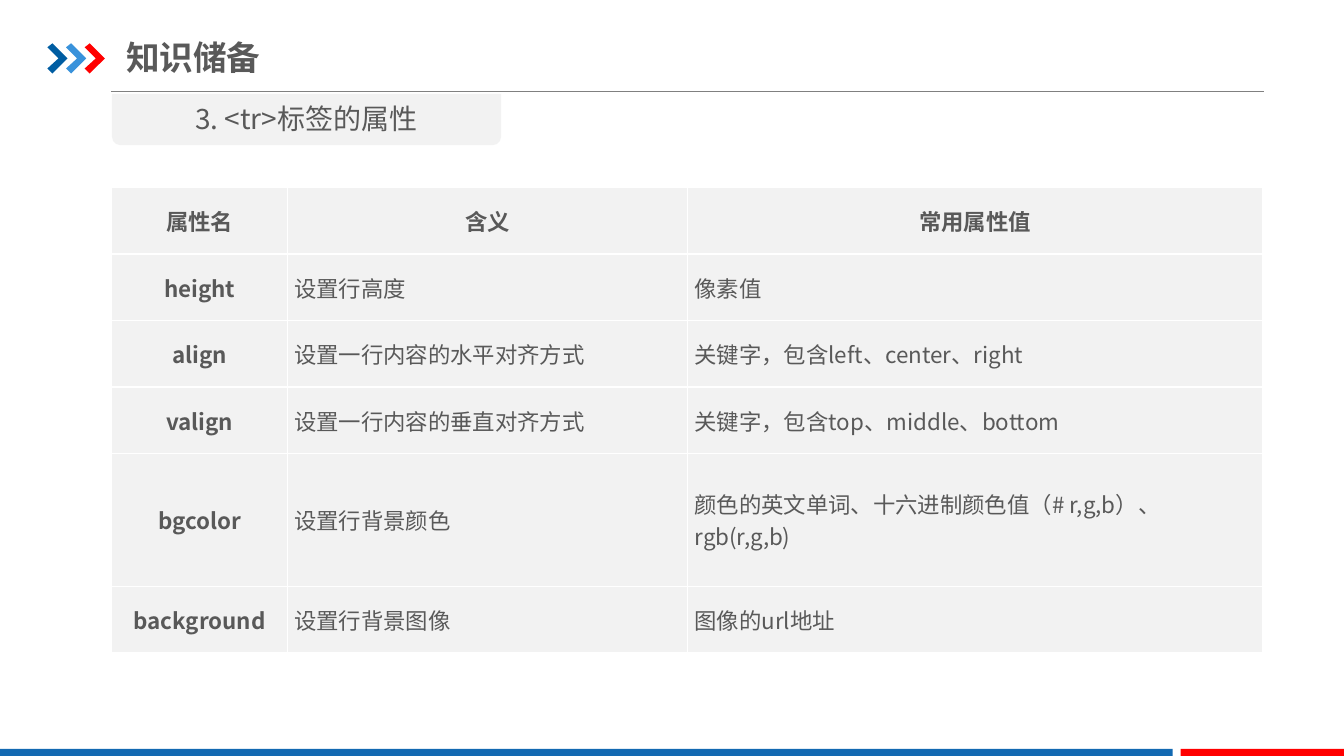
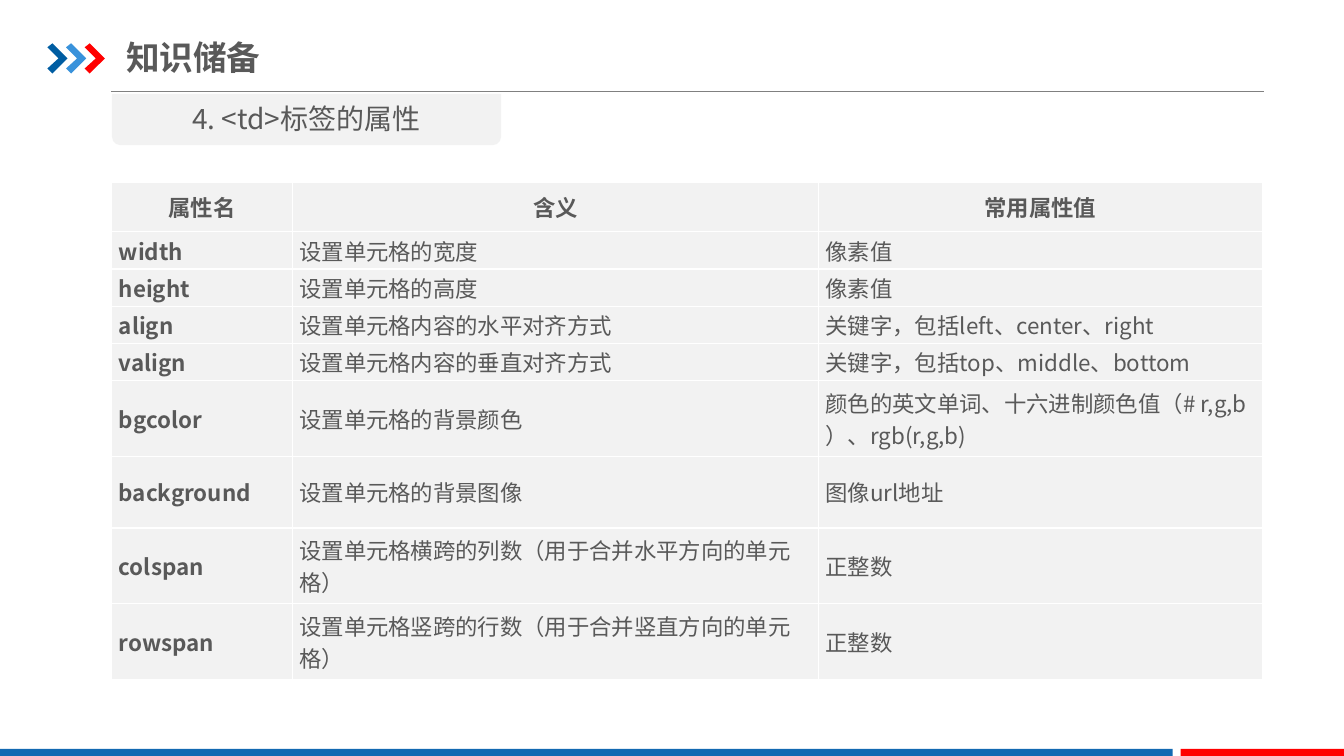
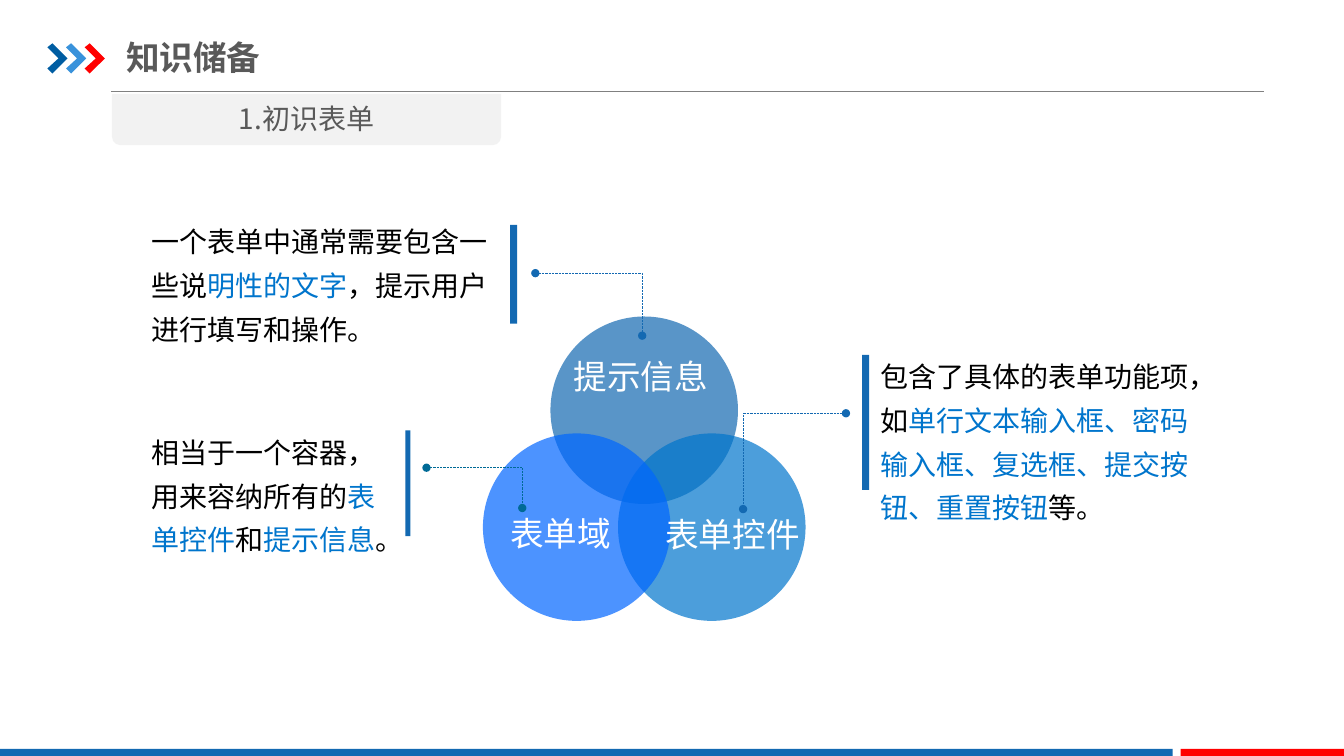
from lxml import etree
from pptx import Presentation
from pptx import util as u
from pptx.dml.color import RGBColor
from pptx.enum import dml, shapes as kinds, text
from pptx.oxml import ns
from pptx.shapes import shapetree

CJK, LATIN = "Noto Sans CJK SC", "Arial"
GREY, PALE, WHITE, BLACK = "595959", "F2F2F2", "FFFFFF", "000000"
BLUE, ACCENT, RED = "1369B2", "0075CC", "FF0000"
LEFT = 1.11
SHAPE, ALIGN = kinds.MSO_SHAPE, text.PP_ALIGN


def color(value):
    return RGBColor.from_string(value)


def box(left, top, width, height):
    return [u.Inches(v) for v in (left, top, width, height)]


def sub(parent, tag, **attrs):
    return etree.SubElement(parent, ns.qn(tag), **attrs)


def set_font(p, size, fill, name=CJK, bold=False):
    f = p.font
    f.name, f.size, f.bold = name, u.Pt(size), bold
    f.color.rgb = color(fill)
    latin = p._p.pPr.find(".//" + ns.qn("a:latin"))
    latin.addnext(latin.makeelement(ns.qn("a:ea"), typeface=CJK))


def add_filled(shapes, kind, area, fill, alpha=None):
    sp = shapes.add_shape(kind, *box(*area))
    sp.shadow.inherit = False
    sp.fill.solid()
    sp.fill.fore_color.rgb = color(fill)
    sp.line.fill.background()
    if alpha:
        sub(sp._element.spPr.find(".//" + ns.qn("a:srgbClr")), "a:alpha", val=str(alpha * 1000))
    return sp


def add_path(shapes, points, close):
    (x, y), *rest = [(u.Inches(x), u.Inches(y)) for x, y in points]
    path = shapes.build_freeform(x, y)
    path.add_line_segments(rest, close=close)
    sp = path.convert_to_shape()
    sp.shadow.inherit = False
    return sp


def add_text(shapes, area, runs, size, font=CJK, align=ALIGN.LEFT, spacing=None):
    """Place one paragraph of (text, colour) runs."""
    tf = shapes.add_textbox(*box(*area)).text_frame
    tf.word_wrap = True
    p = tf.paragraphs[0]
    p.alignment, p.line_spacing = align, spacing
    set_font(p, size, runs[0][1], font)
    for words, fill in runs:
        r = p.add_run()
        r.text = words
        r.font.color.rgb = color(fill)


def add_chevron(shapes, left, top, fill):
    outline = [(0, 0.04), (0.05, 0), (0.2, 0.15), (0.05, 0.3), (0, 0.25), (0.11, 0.15)]
    sp = add_path(shapes, [(left + x, top + y) for x, y in outline], close=True)
    sp.fill.solid()
    sp.fill.fore_color.rgb = color(fill)
    sp.line.fill.background()


def build_layout(layout):
    """Put the rule, chevrons, bottom bands and title frame on the layout."""
    shapes = shapetree.SlideShapes(layout.shapes.element, layout)
    y = u.Inches(0.91)
    rule = shapes.add_connector(kinds.MSO_CONNECTOR.STRAIGHT, u.Inches(1.1), y, u.Inches(12.54), y)
    rule.line.color.rgb = color("808080")
    rule.line.width = u.Pt(0.75)
    sub(rule._element.spPr, "a:effectLst")
    for i, fill in enumerate(["005DA2", "3992DB", RED]):
        add_chevron(shapes, 0.47 + i * 0.185, 0.43, fill)
    for left, width, fill in [(0, 11.63, BLUE), (11.71, 1.63, RED)]:
        add_filled(shapes, SHAPE.RECTANGLE, (left, 7.43, width, 0.09), fill)
    title = layout.placeholders[0]
    title.left, title.top, title.width, title.height = box(1.25, 0.29, 4.26, 0.55)
    tf = title.text_frame
    tf.margin_left = tf.margin_right = 0
    tf.margin_top = tf.margin_bottom = u.Inches(0.07)
    tf.vertical_anchor = text.MSO_ANCHOR.MIDDLE
    tf.auto_size = text.MSO_AUTO_SIZE.NONE


def add_section_slide(prs, layout, heading):
    s = prs.slides.add_slide(layout)
    s.shapes.title.text = "知识储备"
    p = s.shapes.title.text_frame.paragraphs[0]
    p.alignment = ALIGN.LEFT
    set_font(p, 24, GREY, bold=True)
    tab = add_filled(s.shapes, SHAPE.ROUND_2_SAME_RECTANGLE, (LEFT, 0.93, 3.86, 0.51), PALE)
    tab.rotation = 180
    add_text(s.shapes, (LEFT, 0.96, 3.86, 0.44), [(heading, GREY)], 20, align=ALIGN.CENTER)
    return s


def format_cell(cell, words, bold, align):
    cell.text = words
    cell.margin_left = cell.margin_right = u.Inches(0.07)
    cell.margin_top = cell.margin_bottom = 0
    cell.vertical_anchor = text.MSO_ANCHOR.MIDDLE
    for p in cell.text_frame.paragraphs:
        p.alignment = align
        set_font(p, 16, GREY, bold=bold)
    for side in "LRTB":
        ln = sub(cell._tc.tcPr, "a:ln" + side, w=str(u.Pt(1)))
        sub(sub(ln, "a:solidFill"), "a:srgbClr", val=WHITE)
    cell.fill.solid()
    cell.fill.fore_color.rgb = color(PALE)


def add_attribute_table(s, top, widths, heights, rows, name_align):
    rows = [("属性名", "含义", "常用属性值")] + rows
    area = box(LEFT, top, sum(widths), sum(heights))
    table = s.shapes.add_table(len(rows), len(widths), *area).table
    table.first_row = table.horz_banding = False
    for column, width in zip(table.columns, widths):
        column.width = u.Inches(width)
    for i, (row, height) in enumerate(zip(rows, heights)):
        table.rows[i].height = u.Inches(height)
        for j, words in enumerate(row):
            align = ALIGN.CENTER if i == 0 else name_align if j == 0 else ALIGN.LEFT
            format_cell(table.cell(i, j), words, i == 0 or j == 0, align)


def add_leader(shapes, points, fill):
    """Draw a dotted elbow with a dot at each end."""
    sp = add_path(shapes, points, close=False)
    sp.fill.background()
    sp.line.color.rgb = color(fill)
    sp.line.width = u.Pt(0.5)
    sp.line.dash_style = dml.MSO_LINE.ROUND_DOT
    for end in ("a:headEnd", "a:tailEnd"):
        sub(sp.line._ln, end, type="oval")


def add_callout(shapes, bar, area, runs, start, end, fill=BLUE):
    add_filled(shapes, SHAPE.RECTANGLE, bar, BLUE)
    add_leader(shapes, [start, (start[0], end[1]), end], fill)
    add_text(shapes, area, runs, 20, LATIN, spacing=1.3)


def add_form_diagram(s):
    shapes = s.shapes
    for left, top, fill in [(5.46, 3.14, BLUE), (6.13, 4.3, ACCENT), (4.79, 4.3, "0066FF")]:
        add_filled(shapes, SHAPE.OVAL, (left, top, 1.86, 1.86), fill, alpha=70)
    add_callout(shapes, (5.06, 2.23, 0.07, 0.98), (1.4, 2.08, 3.63, 1.85),
                [("一个表单中通常需要包含一些说", BLACK), ("明性的文字", ACCENT),
                 ("，提示用户进行填写和操作。", BLACK)],
                (6.37, 3.33), (5.31, 2.71))
    add_callout(shapes, (8.55, 3.52, 0.07, 1.34), (8.63, 3.42, 3.39, 1.85),
                [("包含了具体的表单功能项，如", BLACK),
                 ("单行文本输入框、密码输入框、复选框、提交按钮、重置按钮", ACCENT),
                 ("等。", BLACK)],
                (7.37, 5.05), (8.39, 4.1))
    add_callout(shapes, (4.02, 4.27, 0.05, 1.05), (1.4, 4.17, 2.62, 1.41),
                [("相当于一个容器，用来容纳所有的", BLACK), ("表单控件", ACCENT),
                 ("和", BLACK), ("提示信息", ACCENT), ("。", BLACK)],
                (5.18, 5.04), (4.23, 4.64), "006A96")
    for label, left, top, width in [("提示信息", 5.59, 3.48, 1.8), ("表单控件", 6.5, 5.05, 2.16),
                                    ("表单域", 4.96, 5.04, 2.01)]:
        add_text(shapes, (left, top, width, 0.51), [(label, WHITE)], 24)


TR_ROWS = [
    ("height", "设置行高度", "像素值"),
    ("align", "设置一行内容的水平对齐方式", "关键字，包含left、center、right"),
    ("valign", "设置一行内容的垂直对齐方式", "关键字，包含top、middle、bottom"),
    ("bgcolor", "设置行背景颜色", "颜色的英文单词、十六进制颜色值（# r,g,b）、rgb(r,g,b)"),
    ("background", "设置行背景图像", "图像的url地址"),
]
TD_ROWS = [
    ("width", "设置单元格的宽度", "像素值"),
    ("height", "设置单元格的高度", "像素值"),
    ("align", "设置单元格内容的水平对齐方式", "关键字，包括left、center、right"),
    ("valign", "设置单元格内容的垂直对齐方式", "关键字，包括top、middle、bottom"),
    ("bgcolor", "设置单元格的背景颜色", "颜色的英文单词、十六进制颜色值（# r,g,b\n）、rgb(r,g,b)"),
    ("background", "设置单元格的背景图像", "图像url地址"),
    ("colspan", "设置单元格横跨的列数（用于合并水平方向的单元格）", "正整数"),
    ("rowspan", "设置单元格竖跨的行数（用于合并竖直方向的单元格）", "正整数"),
]


def main():
    prs = Presentation()
    prs.slide_width, prs.slide_height = u.Inches(13.33), u.Inches(7.5)
    layout = prs.slide_layouts.get_by_name("Title Only")
    build_layout(layout)

    s = add_section_slide(prs, layout, "3. <tr>标签的属性")
    add_attribute_table(s, 1.86, [1.74, 3.97, 5.7], [0.66] * 4 + [1.32, 0.66],
                        TR_ROWS, ALIGN.CENTER)
    s = add_section_slide(prs, layout, "4. <td>标签的属性")
    add_attribute_table(s, 1.81, [1.79, 5.22, 4.4], [0.49] + [0.37] * 4 + [0.75, 0.71, 0.75, 0.75],
                        TD_ROWS, ALIGN.LEFT)
    add_form_diagram(add_section_slide(prs, layout, "1.初识表单"))
    prs.save("out.pptx")


if __name__ == "__main__":
    main()
